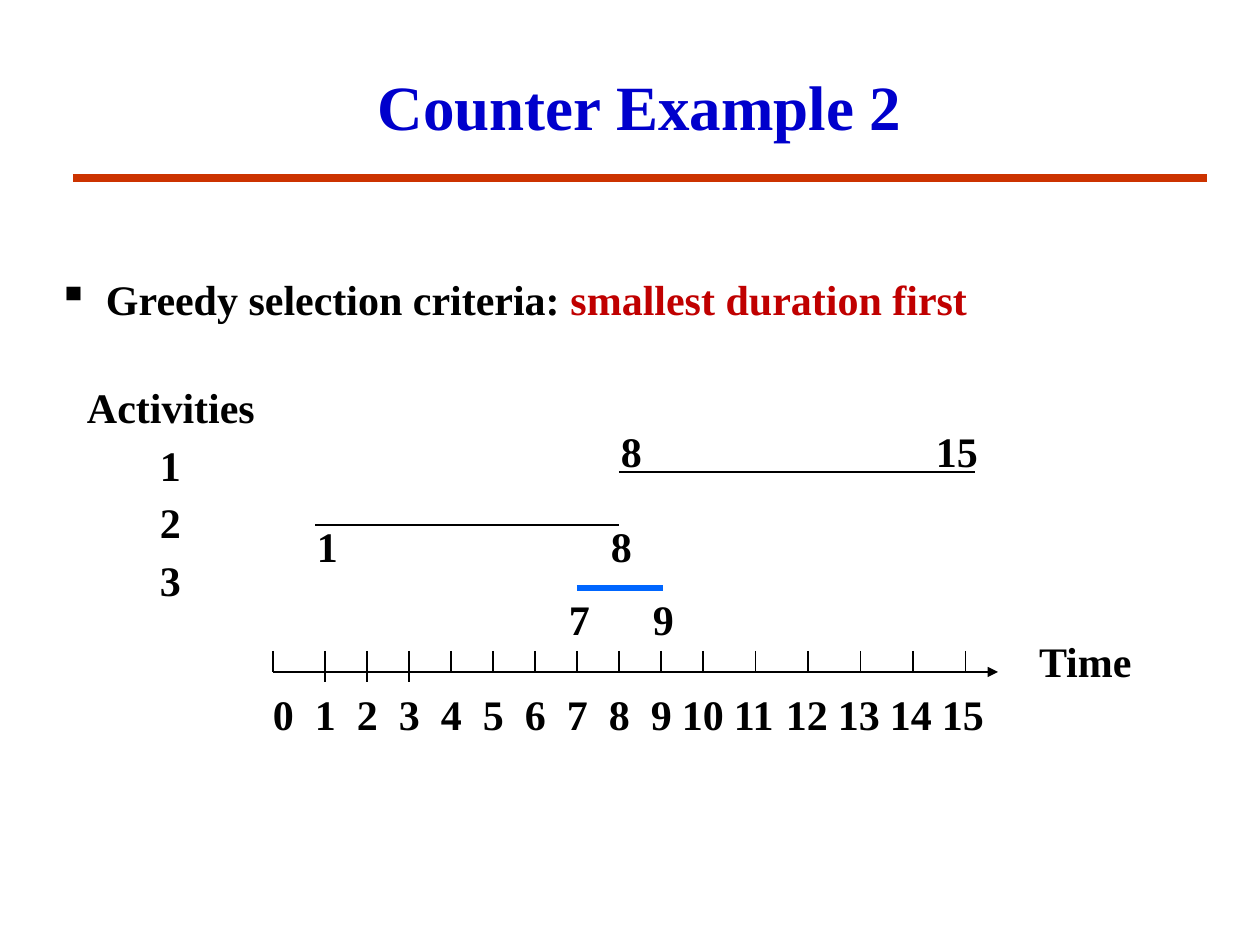
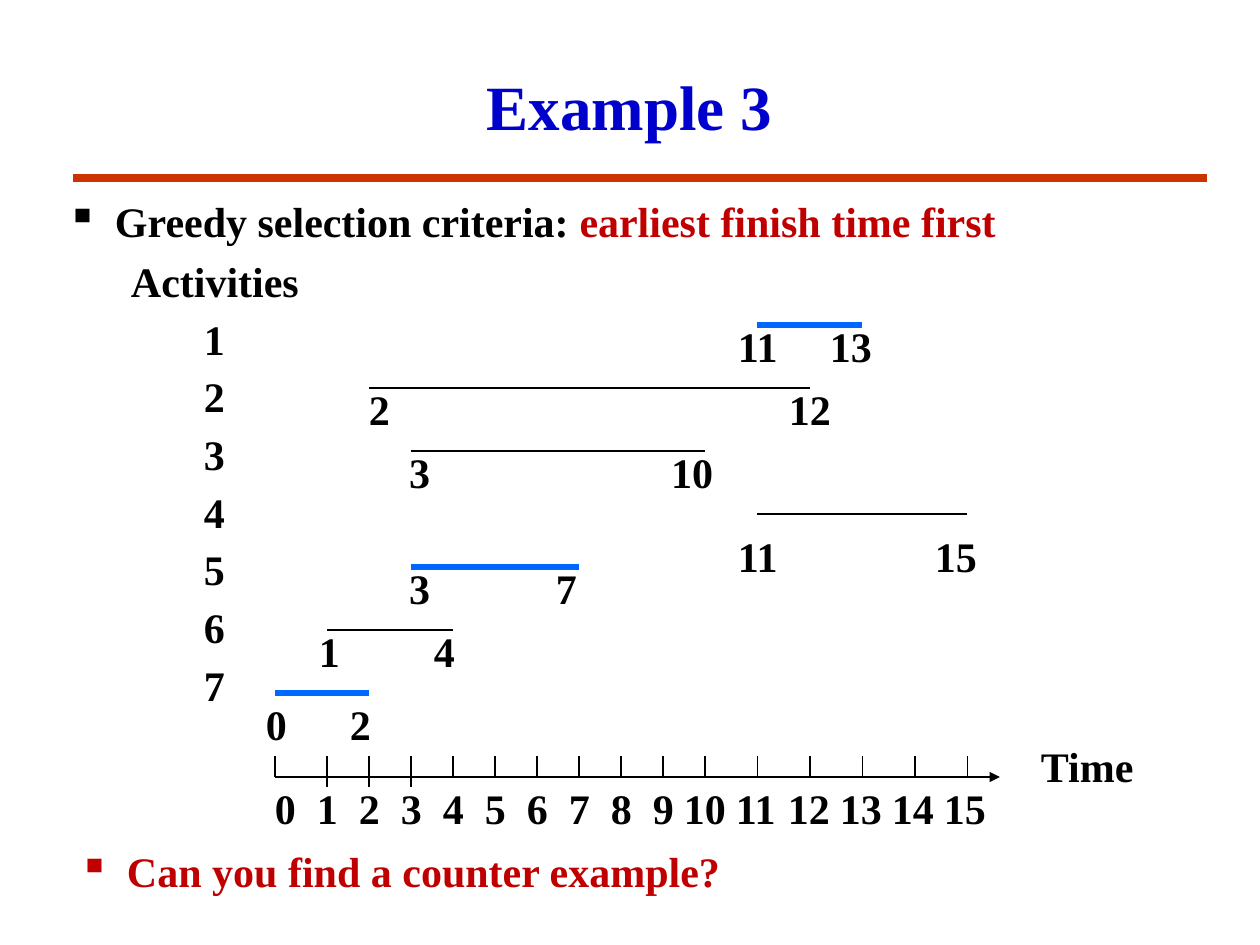
from dataclasses import dataclass

from lxml.etree import SubElement
from pptx import Presentation
from pptx.dml.color import RGBColor as Rgb
from pptx.enum.shapes import MSO_CONNECTOR as Connector
from pptx.enum.text import MSO_ANCHOR as Anchor, PP_ALIGN as Align
from pptx.oxml.ns import qn
from pptx.util import Emu, Pt

PX = 914400 / 126
LAST_HOUR = 15


@dataclass(frozen=True)
class Theme:
    font: str = "Times New Roman"
    title_size: int = 36
    text_size: int = 24
    row_spacing: int = 33
    title: str = "0000CC"
    text: str = "000000"
    accent: str = "C00000"
    rule: str = "CC3300"
    chosen: str = "0066FF"
    thin: float = 1
    bold: float = 3
    rule_width: float = 4.5


@dataclass(frozen=True)
class Activity:
    """A bar over the time axis and the two numbers that belong to it."""
    start: int
    finish: int
    y: int
    label_left: int
    label_top: int
    label_gap: int
    chosen: bool = False
    start_shift: int = 0
    finish_shift: int = 0


THEME = Theme()


def px(length):
    return Emu(round(length * PX))


def add_line(slide, x1, y1, x2, y2, color=THEME.text, width=THEME.thin, arrow=False):
    line = slide.shapes.add_connector(Connector.STRAIGHT, px(x1), px(y1), px(x2), px(y2))
    line.line.color.rgb = Rgb.from_string(color)
    line.line.width = Pt(width)
    properties = line._element.spPr
    if arrow:
        SubElement(properties.find(qn("a:ln")), qn("a:tailEnd"), type="triangle")
    SubElement(properties, qn("a:effectLst"))


def add_frame(slide, left, top, width, height):
    frame = slide.shapes.add_textbox(px(left), px(top), px(width), px(height)).text_frame
    frame.margin_left = frame.margin_top = frame.margin_right = frame.margin_bottom = 0
    frame.word_wrap = True
    return frame


def style(paragraph, size=THEME.text_size, color=THEME.text):
    font = paragraph.font
    font.name, font.size, font.bold = THEME.font, Pt(size), True
    font.color.rgb = Rgb.from_string(color)


def add_tabbed_text(slide, left, top, words, stops):
    """Put the first word at left and each later one at its stop."""
    paragraph = add_frame(slide, left, top, stops[-1] + 60, 50).paragraphs[0]
    tabs = SubElement(paragraph._p.get_or_add_pPr(), qn("a:tabLst"))
    for stop in stops:
        SubElement(tabs, qn("a:tab"), pos=str(px(stop)), algn="l")
    paragraph.text = "\t".join(str(word) for word in words)
    style(paragraph)


def add_title(slide, text, left, width):
    frame = add_frame(slide, left, 42, width, 126)
    frame.vertical_anchor = Anchor.MIDDLE
    heading = frame.paragraphs[0]
    heading.text = text
    heading.alignment = Align.CENTER
    style(heading, THEME.title_size, THEME.title)
    add_line(slide, 73, 178, 1207, 178, THEME.rule, THEME.rule_width)


def add_bullet(slide, left, top, text, color=THEME.text, emphasis=""):
    paragraph = add_frame(slide, left, top, 1106, 56).paragraphs[0]
    properties = paragraph._p.get_or_add_pPr()
    properties.set("marL", str(px(48)))
    properties.set("indent", str(px(-48)))
    SubElement(SubElement(properties, qn("a:buClr")), qn("a:srgbClr"), val=color)
    SubElement(properties, qn("a:buChar"), char="▪")
    paragraph.add_run().text = text
    style(paragraph, color=color)
    if emphasis:
        run = paragraph.add_run()
        run.text = emphasis
        run.font.color.rgb = Rgb.from_string(THEME.accent)


def add_activity_list(slide, left, top, count):
    frame = add_frame(slide, left, top, 200, 58 * (count + 1))
    for row in range(count + 1):
        paragraph = frame.add_paragraph() if row else frame.paragraphs[0]
        if row:
            paragraph._p.get_or_add_pPr().set("marL", str(px(73)))
        paragraph.text = str(row) if row else "Activities"
        paragraph.line_spacing = Pt(THEME.row_spacing)
        style(paragraph)


def tick_offset(hour):
    """Two-digit hours take wider steps; the first step is wider too."""
    if hour == 0:
        return 0
    return 10 + 42 * hour if hour <= 10 else 430 + 52.5 * (hour - 10)


def number_offset(hour):
    return 42 * hour if hour < 10 else 52 * hour - 111


def add_time_axis(slide, left, y, numbers_top):
    add_line(slide, left, y, left + 725, y, arrow=True)
    hours = range(LAST_HOUR + 1)
    for hour in hours:
        x = left + tick_offset(hour)
        add_line(slide, x, y - 21, x, y + (10 if 1 <= hour <= 3 else 0))
    add_tabbed_text(slide, left, numbers_top, hours, [number_offset(h) for h in hours[1:]])
    time = add_frame(slide, left + 766, y - 36, 110, 50).paragraphs[0]
    time.text = "Time"
    style(time)


def add_activities(slide, axis_left, activities):
    for item in activities:
        start = axis_left + tick_offset(item.start) + item.start_shift
        finish = axis_left + tick_offset(item.finish) + item.finish_shift
        color, width = (THEME.chosen, THEME.bold) if item.chosen else (THEME.text, THEME.thin)
        add_line(slide, start, item.y, finish, item.y, color, width)
        add_tabbed_text(slide, item.label_left, item.label_top,
                        (item.start, item.finish), [item.label_gap])


def build_shortest_first(slide):
    axis_left = 273
    add_title(slide, "Counter Example 2", 44, 1191)
    add_bullet(slide, 58, 273, "Greedy selection criteria: ", emphasis="smallest duration first")
    add_time_axis(slide, axis_left, 672, 689)
    activities = (
        Activity(8, 15, 472, 621, 426, 315, finish_shift=10),
        Activity(1, 8, 525, 317, 521, 294, start_shift=-10),
        Activity(7, 9, 588, 569, 594, 84, chosen=True, finish_shift=2),
    )
    add_activities(slide, axis_left, activities)
    add_activity_list(slide, 87, 374, len(activities))


def build_earliest_finish(slide):
    axis_left = 275
    add_title(slide, "Example 3", 94, 1071)
    add_bullet(slide, 67, 195, "Greedy selection criteria: ", emphasis="earliest finish time first")
    add_time_axis(slide, axis_left, 777, 783)
    activities = (
        Activity(11, 13, 325, 738, 321, 92, chosen=True),
        Activity(2, 12, 388, 369, 384, 420),
        Activity(3, 10, 451, 409, 447, 262),
        Activity(11, 15, 514, 738, 531, 197),
        Activity(3, 7, 567, 409, 563, 147, chosen=True),
        Activity(1, 4, 630, 319, 626, 115),
        Activity(0, 2, 693, 266, 699, 84, chosen=True),
    )
    add_activities(slide, axis_left, activities)
    add_activity_list(slide, 131, 248, len(activities))
    add_bullet(slide, 79, 845, "Can you find a counter example?", THEME.accent)


def main():
    deck = Presentation()
    deck.slide_width, deck.slide_height = px(1260), px(945)
    blank = deck.slide_layouts[6]
    for build in (build_shortest_first, build_earliest_finish):
        build(deck.slides.add_slide(blank))
    deck.save("out.pptx")


if __name__ == "__main__":
    main()
